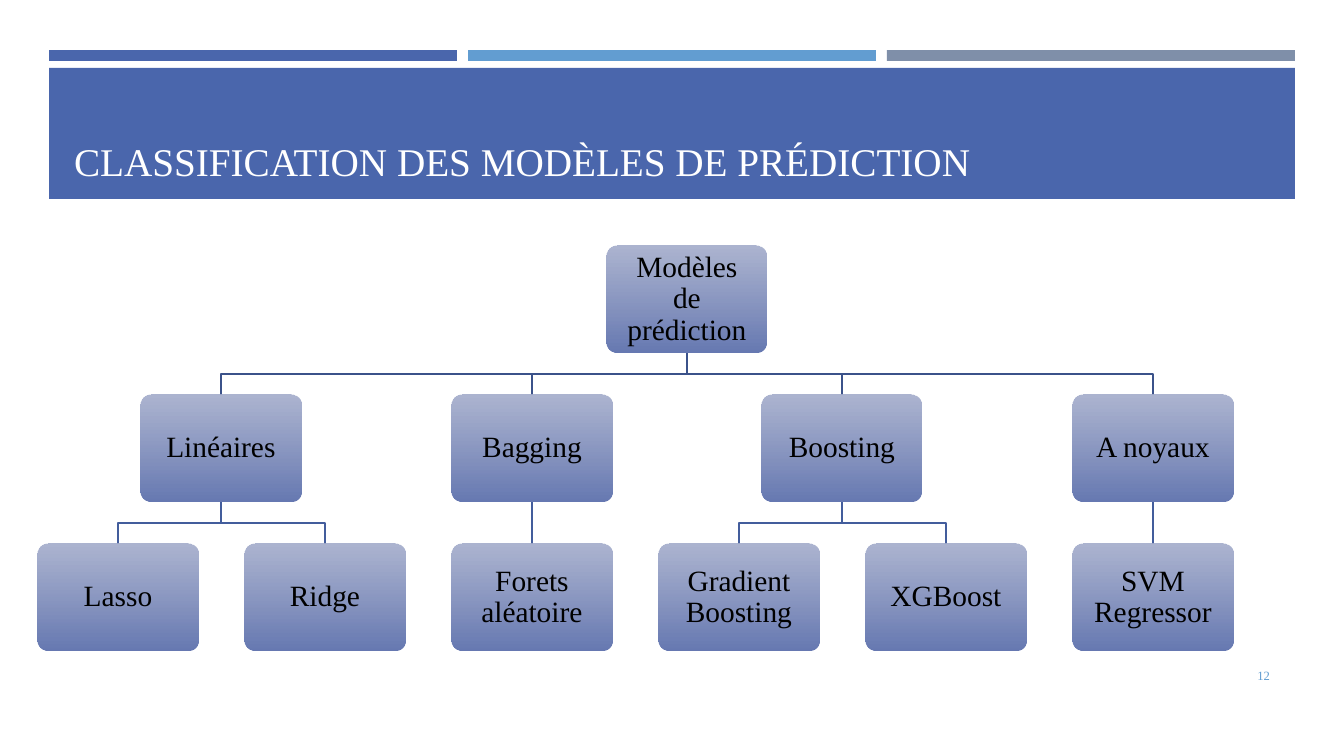
from lxml.etree import SubElement
from pptx import Presentation
from pptx.dml.color import RGBColor
from pptx.enum.shapes import MSO_CONNECTOR, MSO_SHAPE
from pptx.enum.text import MSO_ANCHOR, PP_ALIGN
from pptx.oxml.ns import qn
from pptx.util import Pt

SCALE = 914400 / 100.8
FONT = "Times New Roman"
WHITE = RGBColor(0xFF, 0xFF, 0xFF)
BLACK = RGBColor(0x00, 0x00, 0x00)
BLUE = RGBColor(0x4A, 0x66, 0xAC)
SKY = RGBColor(0x62, 0x9D, 0xD1)
SLATE = RGBColor(0x7F, 0x8F, 0xA9)
PALE = RGBColor(0xA3, 0xAC, 0xCB)
DEEP = RGBColor(0x67, 0x79, 0xB2)
TRUNK = RGBColor(0x3B, 0x52, 0x8A)
TWIG = RGBColor(0x43, 0x5D, 0x9C)


def emu(*sizes):
    return [round(size * SCALE) for size in sizes]


def write(shape, text, size, color, align=PP_ALIGN.LEFT,
          anchor=MSO_ANCHOR.MIDDLE, pad=(10, 5), space=1.0):
    frame = shape.text_frame
    frame.word_wrap = True
    frame.vertical_anchor = anchor
    side, edge = emu(*pad)
    frame.margin_left = frame.margin_right = side
    frame.margin_top = frame.margin_bottom = edge
    para = frame.paragraphs[0]
    para.alignment = align
    para.line_spacing = space
    run = para.add_run()
    run.text = text
    run.font.name = FONT
    run.font.size = Pt(size)
    run.font.color.rgb = color


deck = Presentation()
deck.slide_width, deck.slide_height = emu(1344, 756)
slide = deck.slides.add_slide(deck.slide_layouts[6])
shapes = slide.shapes

# Header bars and title band
bars = [(49 + 419 * i, 50, 408, 11, color)
        for i, color in enumerate((BLUE, SKY, SLATE))]
for x, y, wide, high, color in bars + [(49, 68, 1246, 131, BLUE)]:
    bar = shapes.add_shape(MSO_SHAPE.RECTANGLE, *emu(x, y, wide, high))
    bar.shadow.inherit = False
    bar.fill.solid()
    bar.fill.fore_color.rgb = color
    bar.line.fill.background()

title = shapes.add_textbox(*emu(64, 78, 1216, 111))
write(title, "CLASSIFICATION DES MODÈLES DE PRÉDICTION", 28, WHITE,
      anchor=MSO_ANCHOR.BOTTOM)

# Tree layout: leaves are evenly spaced, each parent sits above its leaves
WIDE, HIGH, TOP, ROW = 160, 107, 246, 149
FIRST, STEP = 118, 207
tree = [
    ("Linéaires", ["Lasso", "Ridge"]),
    ("Bagging", ["Forets aléatoire"]),
    ("Boosting", ["Gradient Boosting", "XGBoost"]),
    ("A noyaux", ["SVM Regressor"]),
]
nodes, links, mids = [], [], []
leaf = FIRST
for name, kids in tree:
    spots = [leaf + STEP * i for i in range(len(kids))]
    leaf += STEP * len(kids)
    mid = (spots[0] + spots[-1]) // 2
    mids.append(mid)
    nodes.append((name, mid, 1))
    nodes += [(kid, spot, 2) for kid, spot in zip(kids, spots)]
    links += [(mid, spot, 1, TWIG) for spot in spots]
root = (mids[0] + mids[-1]) // 2
nodes.insert(0, ("Modèles de prédiction", root, 0))
links += [(root, mid, 0, TRUNK) for mid in mids]

# Links
for start, end, level, color in links:
    low = TOP + ROW * level + HIGH
    next_top = TOP + ROW * (level + 1)
    if start == end:
        link = shapes.add_connector(MSO_CONNECTOR.STRAIGHT,
                                    *emu(start, low, end, next_top))
    else:
        bend = (low + next_top) // 2
        path = shapes.build_freeform(start, low, scale=SCALE)
        path.add_line_segments([(start, bend), (end, bend), (end, next_top)],
                               close=False)
        link = path.convert_to_shape()
        link.fill.background()
    link.line.color.rgb = color
    link.line.width = Pt(1.75)
    SubElement(link._element.spPr, qn("a:effectLst"))

# Boxes
for name, mid, level in nodes:
    box = shapes.add_shape(MSO_SHAPE.ROUNDED_RECTANGLE,
                           *emu(mid - WIDE // 2, TOP + ROW * level, WIDE, HIGH))
    box.adjustments[0] = 0.1
    box.shadow.inherit = False
    box.line.fill.background()
    box.fill.gradient()
    box.fill.gradient_angle = 270
    for stop, color in zip(box.fill.gradient_stops, (PALE, DEEP)):
        stop.color.rgb = color
    pale = box._element.spPr.find(".//" + qn("a:srgbClr"))
    SubElement(pale, qn("a:alpha")).set("val", "90000")
    write(box, name, 21, BLACK, align=PP_ALIGN.CENTER, pad=(10, 6), space=0.9)

# Page number
page = shapes.add_textbox(*emu(1164, 656, 116, 40))
write(page, "12", 9, SKY, align=PP_ALIGN.RIGHT)

deck.save("out.pptx")
